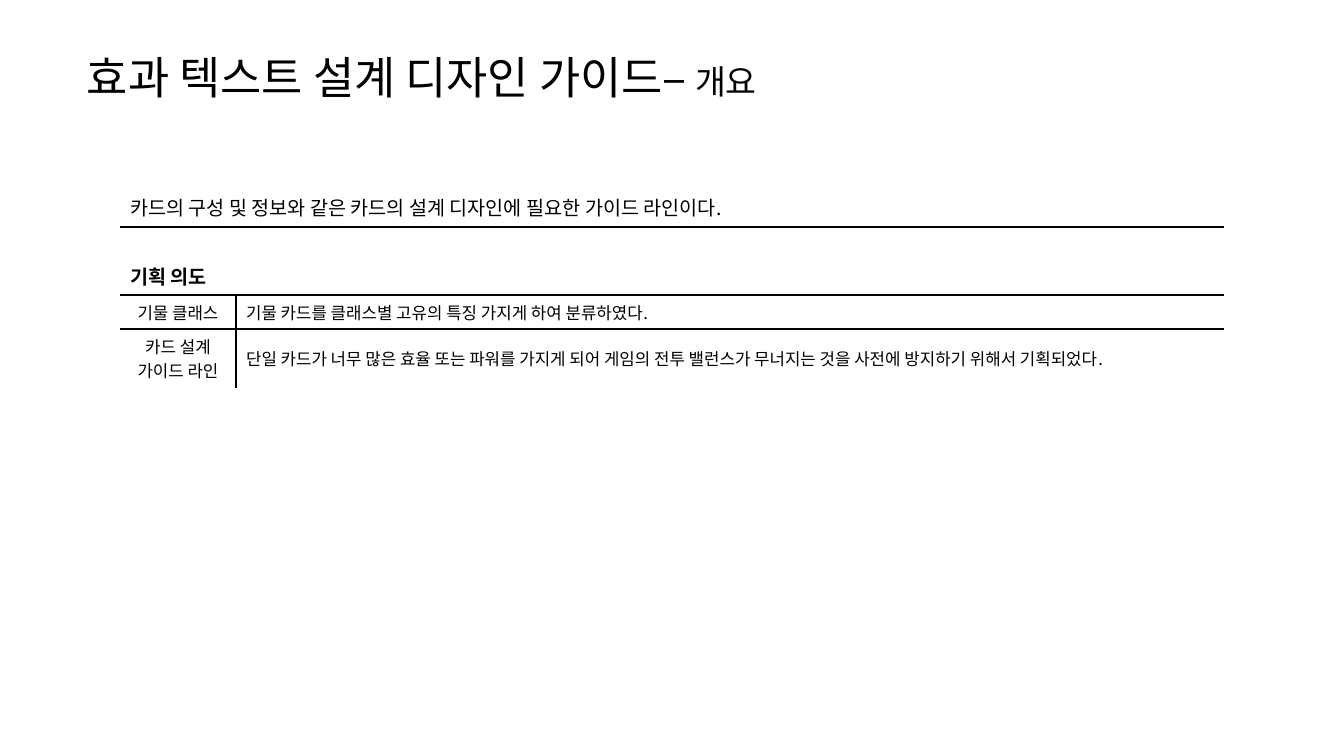
from lxml import etree
from pptx import Presentation
from pptx.dml.color import RGBColor
from pptx.enum.text import MSO_ANCHOR, PP_ALIGN
from pptx.oxml.ns import qn
from pptx.util import Pt

EMU_PER_PX = 914400 / 100.8
FONT = "Noto Sans CJK KR"
BLACK = RGBColor(0, 0, 0)
TOP, MIDDLE, BOTTOM = MSO_ANCHOR.TOP, MSO_ANCHOR.MIDDLE, MSO_ANCHOR.BOTTOM
LEFT, CENTER = PP_ALIGN.LEFT, PP_ALIGN.CENTER
NO_GRID_STYLE = "{2D5ABB26-0587-4C30-8999-92F81FD0307C}"

COLUMN_WIDTHS = [116, 988]
ROW_HEIGHTS = [39, 68, 34, 59]
SUMMARY = "카드의 구성 및 정보와 같은 카드의 설계 디자인에 필요한 가이드 라인이다."
HEADING = "기획 의도"
INTENTS = [
    ("기물 클래스", "기물 카드를 클래스별 고유의 특징 가지게 하여 분류하였다."),
    ("카드 설계\n가이드 라인",
     "단일 카드가 너무 많은 효율 또는 파워를 가지게 되어 게임의 전투 밸런스가 "
     "무너지는 것을 사전에 방지하기 위해서 기획되었다."),
]


def px(length):
    return round(length * EMU_PER_PX)


def style_paragraph(paragraph, size, bold=False, align=LEFT):
    paragraph.alignment = align
    font = paragraph.font
    font.size, font.bold, font.name = Pt(size), bold, FONT
    font.color.rgb = BLACK
    # Korean text takes its typeface from the East Asian slot
    defaults = paragraph._p.pPr.find(qn("a:defRPr"))
    etree.SubElement(defaults, qn("a:ea"), typeface=FONT)


def add_title(slide, left, top, width, height, parts):
    box = slide.shapes.add_textbox(px(left), px(top), px(width), px(height))
    frame = box.text_frame
    frame.word_wrap = True
    frame.vertical_anchor = MIDDLE
    paragraph = frame.paragraphs[0]
    style_paragraph(paragraph, parts[0][1])
    for text, size in parts:
        run = paragraph.add_run()
        run.text = text
        run.font.size = Pt(size)


def fill_cell(cell, text, size, bold=False, align=LEFT, anchor=MIDDLE):
    cell.text = text
    cell.vertical_anchor = anchor
    for paragraph in cell.text_frame.paragraphs:
        style_paragraph(paragraph, size, bold, align)


def set_borders(cell, sides):
    """Draw 1 pt lines on the given sides, listed in the order L, R, T, B."""
    properties = cell._tc.get_or_add_tcPr()
    for index, side in enumerate(sides):
        line = etree.Element(qn(f"a:ln{side}"), w=str(Pt(1)))
        fill = etree.SubElement(line, qn("a:solidFill"))
        etree.SubElement(fill, qn("a:srgbClr"), val=str(BLACK))
        properties.insert(index, line)


def add_guide_table(slide, left, top):
    frame = slide.shapes.add_table(
        len(ROW_HEIGHTS), len(COLUMN_WIDTHS), px(left), px(top),
        px(sum(COLUMN_WIDTHS)), px(sum(ROW_HEIGHTS)))
    table = frame.table
    table.first_row = table.horz_banding = False
    table._tbl.tblPr.find(qn("a:tableStyleId")).text = NO_GRID_STYLE
    for column, width in zip(table.columns, COLUMN_WIDTHS):
        column.width = px(width)
    for row, height in zip(table.rows, ROW_HEIGHTS):
        row.height = px(height)
    for cell in table.iter_cells():
        cell.fill.background()

    # Summary and heading span both columns
    for row in (0, 1):
        table.cell(row, 0).merge(table.cell(row, 1))
    fill_cell(table.cell(0, 0), SUMMARY, 14, anchor=TOP)
    fill_cell(table.cell(1, 0), HEADING, 14, bold=True, anchor=BOTTOM)

    # Design intents
    for row, (label, description) in enumerate(INTENTS, start=2):
        fill_cell(table.cell(row, 0), label, 12, align=CENTER)
        fill_cell(table.cell(row, 1), description, 12)

    # Rules under the summary, between the intents and beside the labels
    borders = [("B", "B"), ("T", "T"), ("RB", "LB"), ("RT", "LT")]
    for row, row_sides in enumerate(borders):
        for column, sides in enumerate(row_sides):
            set_borders(table.cell(row, column), sides)


def main():
    presentation = Presentation()
    presentation.slide_width = px(1344)
    presentation.slide_height = px(756)
    slide = presentation.slides.add_slide(presentation.slide_layouts[6])

    add_title(slide, 77, 42, 1190, 70,
              [("효과 텍스트 설계 디자인 가이드–", 32), (" 개요", 24)])
    add_guide_table(slide, 120, 188)

    presentation.save("out.pptx")


if __name__ == "__main__":
    main()
